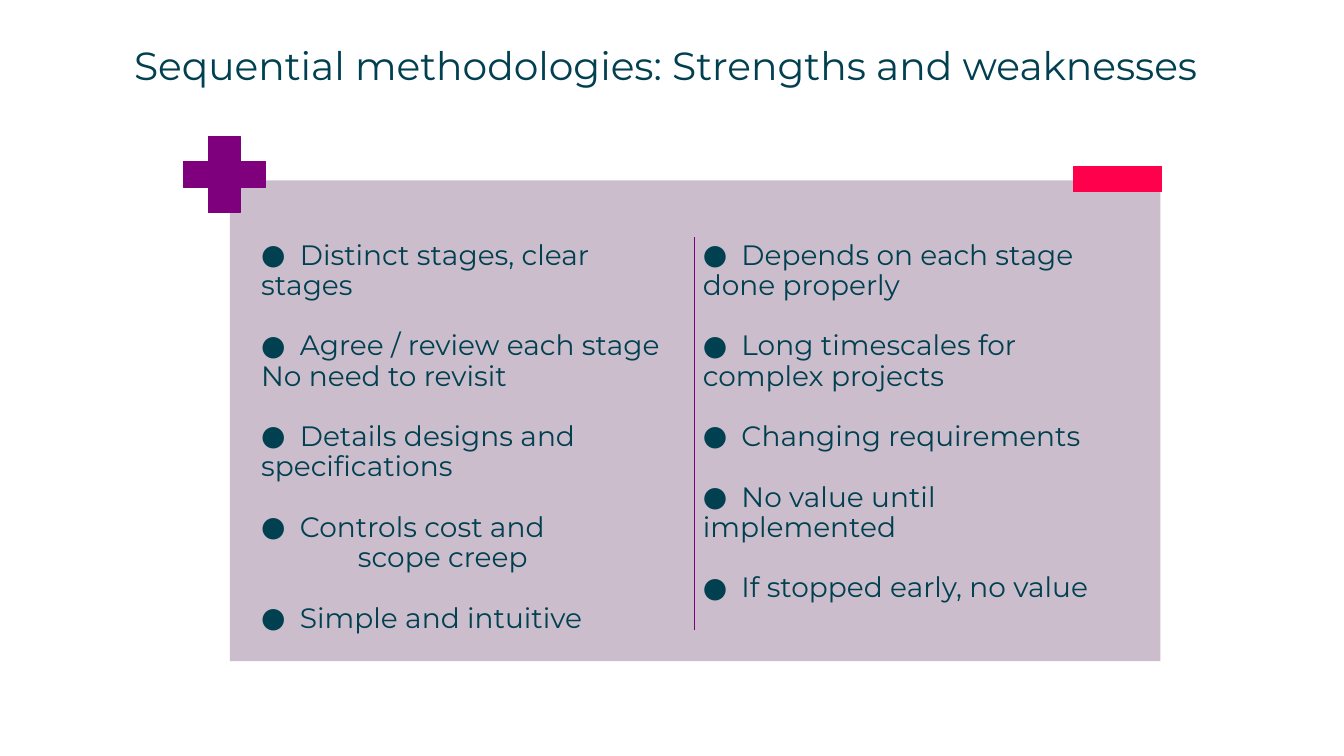
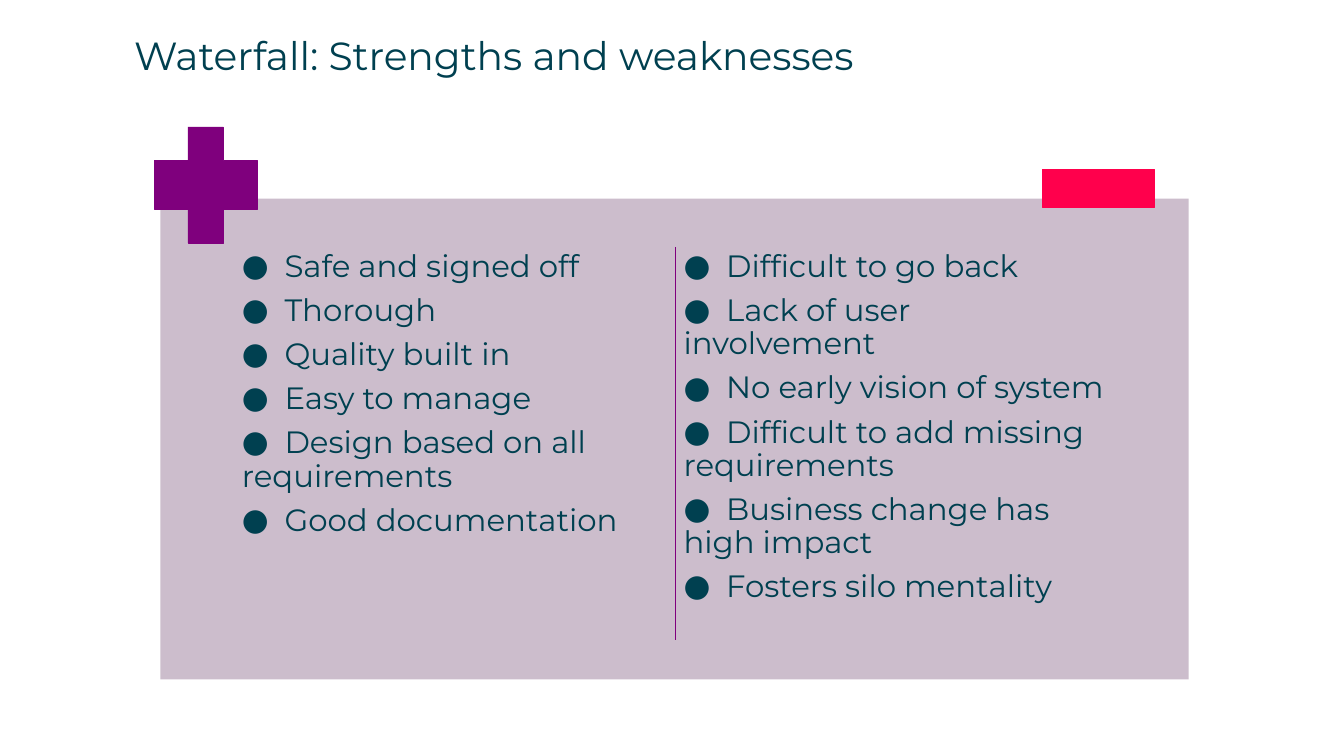
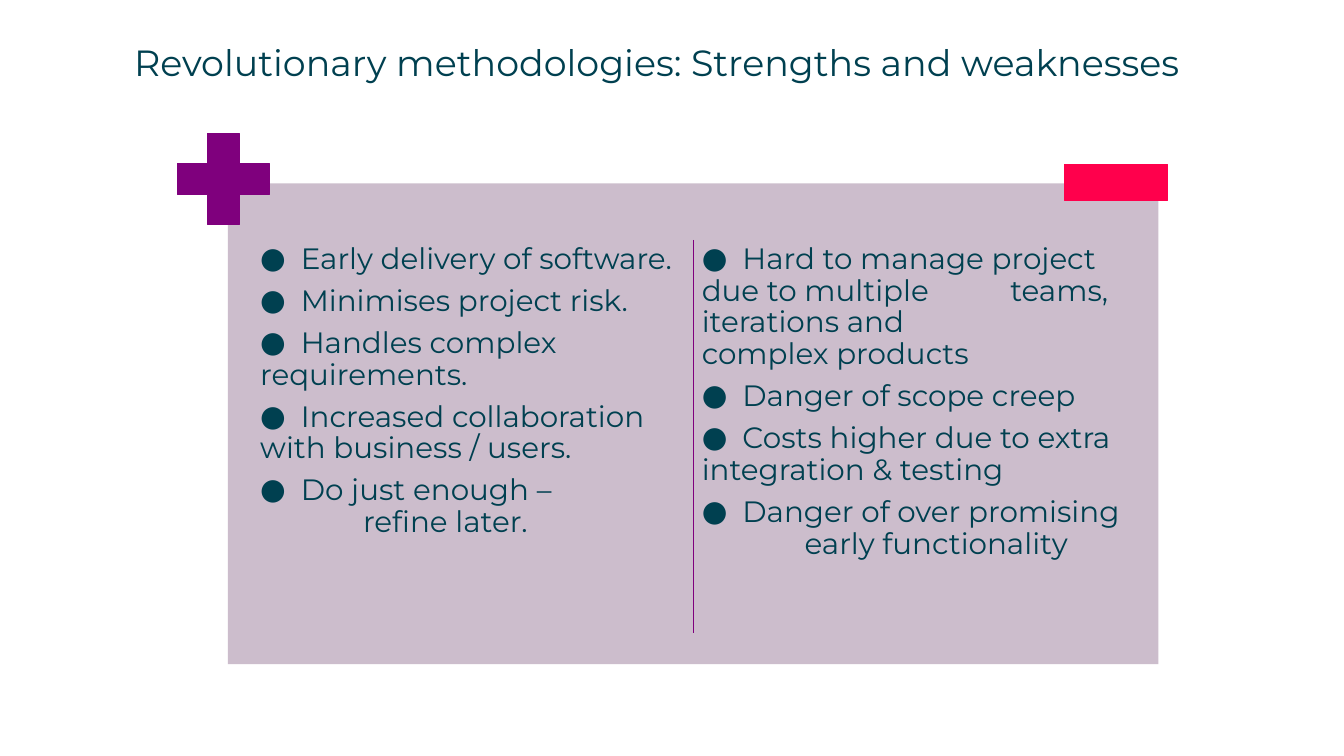
from dataclasses import dataclass

import pptx
import pptx.dml.color
import pptx.enum.shapes
import pptx.enum.text
import pptx.oxml.ns
import pptx.util
from lxml import etree

Inches = pptx.util.Inches
Pt = pptx.util.Pt
MSO_SHAPE = pptx.enum.shapes.MSO_SHAPE
rgb = pptx.dml.color.RGBColor.from_string


# Shared look
@dataclass(frozen=True)
class Theme:
    font: str = "Montserrat"
    text: str = "004050"
    panel: str = "CCBDCC"
    plus: str = "7F007D"
    minus: str = "FF004C"
    line_spacing: float = 0.9
    text_lead: float = 0.0192  # inches from bullet to text, per point of type
    plus_arm: float = 0.328
    column_width: float = 4.29
    column_height: float = 4.08
    column_pitch: float = 4.38
    divider_offset: float = 4.34
    divider_height: float = 3.9
    inset: float = 0.04


THEME = Theme()


# One strengths-and-weaknesses slide; boxes are left, top, width, height
@dataclass(frozen=True)
class Board:
    title: str
    title_top: float
    title_size: int
    panel: tuple
    plus: tuple
    minus: tuple
    column_left: float
    column_top: float
    text_size: int
    item_gap: float  # space after an item, as a share of the type size
    tab: float
    strengths: tuple
    weaknesses: tuple


# A line break is \n; a pair holds an item and its indented second line
BOARDS = (
    Board(
        "Sequential methodologies: Strengths and weaknesses", 0.41, 28,
        panel=(2.28, 1.79, 9.23, 4.77), plus=(1.82, 1.35, 0.81, 0.76),
        minus=(10.65, 1.65, 0.87, 0.25), column_left=2.55, column_top=2.35,
        text_size=20, item_gap=1.08, tab=0.96,
        strengths=(
            "Distinct stages, clear\nstages",
            "Agree / review each stage\nNo need to revisit",
            "Details designs and\nspecifications",
            ("Controls cost and", "scope creep"),
            "Simple and intuitive",
        ),
        weaknesses=(
            "Depends on each stage\ndone properly",
            "Long timescales for\ncomplex projects",
            "Changing requirements",
            "No value until\nimplemented",
            "If stopped early, no value",
        ),
    ),
    Board(
        "Waterfall: Strengths and weaknesses", 0.31, 28,
        panel=(1.59, 1.97, 10.2, 4.77), plus=(1.53, 1.26, 1.02, 1.15),
        minus=(10.34, 1.68, 1.11, 0.38), column_left=2.36, column_top=2.45,
        text_size=22, item_gap=0.35, tab=1,
        strengths=(
            "Safe and signed off",
            "Thorough",
            "Quality built in",
            "Easy to manage",
            "Design based on all\nrequirements",
            "Good documentation",
        ),
        weaknesses=(
            "Difficult to go back",
            "Lack of user\ninvolvement",
            "No early vision of system",
            "Difficult to add missing\nrequirements",
            "Business change has\nhigh impact",
            "Fosters silo mentality",
        ),
    ),
    Board(
        "Revolutionary methodologies: Strengths and weaknesses", 0.4, 26,
        panel=(2.26, 1.82, 9.23, 4.77), plus=(1.76, 1.32, 0.91, 0.91),
        minus=(10.56, 1.63, 1.02, 0.36), column_left=2.54, column_top=2.38,
        text_size=21, item_gap=0.35, tab=1.02,
        strengths=(
            "Early delivery of software.",
            "Minimises project risk.",
            "Handles complex\nrequirements.",
            "Increased collaboration\nwith business / users.",
            ("Do just enough –", "refine later."),
        ),
        weaknesses=(
            "Hard to manage project\ndue to multiple\tteams,\n"
            "iterations and\ncomplex products",
            "Danger of scope creep",
            "Costs higher due to extra\nintegration & testing",
            ("Danger of over promising", "early functionality"),
        ),
    ),
)


# Text helpers
def place(shape, box):
    shape.left, shape.top, shape.width, shape.height = map(Inches, box)


def prepare_frame(frame, inset):
    frame.word_wrap = True
    frame.auto_size = pptx.enum.text.MSO_AUTO_SIZE.NONE
    frame.vertical_anchor = pptx.enum.text.MSO_ANCHOR.TOP
    frame.margin_left = frame.margin_right = Inches(inset)
    frame.margin_top = frame.margin_bottom = Inches(inset)


def add_lines(paragraph, text, size):
    for number, line in enumerate(text.split("\n")):
        if number:
            paragraph.add_line_break()
        run = paragraph.add_run()
        run.text = line
        run.font.name = THEME.font
        run.font.size = Pt(size)
        run.font.color.rgb = rgb(THEME.text)


def add_child(parent, tag, **attributes):
    child = etree.SubElement(parent, pptx.oxml.ns.qn(tag))
    for name, value in attributes.items():
        child.set(name, str(value))
    return child


def set_bullet(paragraph, stops):
    """Bullet at the left edge, text at the first stop, later lines at the edge."""
    properties = paragraph._p.get_or_add_pPr()
    properties.set("marL", "0")
    properties.set("indent", "0")
    add_child(properties, "a:buFont", typeface=THEME.font)
    add_child(properties, "a:buChar", char="●")
    tabs = add_child(properties, "a:tabLst")
    for stop in stops:
        add_child(tabs, "a:tab", pos=Inches(stop), algn="l")


def set_indent(paragraph, indent):
    properties = paragraph._p.get_or_add_pPr()
    properties.set("marL", str(Inches(indent)))
    properties.set("indent", "0")
    add_child(properties, "a:buNone")


def set_spacing(paragraph, after):
    paragraph.line_spacing = THEME.line_spacing
    paragraph.space_before = Pt(0)
    paragraph.space_after = Pt(after)


# Slide parts
def fill_title(title, board):
    place(title, (1.33, board.title_top, 11.59, 0.57))
    prepare_frame(title.text_frame, 0)
    paragraph = title.text_frame.paragraphs[0]
    paragraph.alignment = pptx.enum.text.PP_ALIGN.LEFT
    add_lines(paragraph, board.title, board.title_size)


def fill_column(column, left, items, board):
    place(column, (left, board.column_top, THEME.column_width, THEME.column_height))
    frame = column.text_frame
    prepare_frame(frame, THEME.inset)
    size = board.text_size
    gap = round(size * board.item_gap, 1)
    stops = (size * THEME.text_lead, 3 * board.tab)
    for number, item in enumerate(items):
        text, continuation = (item, None) if isinstance(item, str) else item
        paragraph = frame.add_paragraph() if number else frame.paragraphs[0]
        set_bullet(paragraph, stops)
        set_spacing(paragraph, 0 if continuation else gap)
        add_lines(paragraph, "\t" + text, size)
        if continuation:
            paragraph = frame.add_paragraph()
            set_indent(paragraph, board.tab)
            set_spacing(paragraph, gap)
            add_lines(paragraph, continuation, size)


def add_block(slide, kind, box, color, outlined=True):
    block = slide.shapes.add_shape(kind, *map(Inches, box))
    block.shadow.inherit = False
    block.fill.solid()
    block.fill.fore_color.rgb = rgb(color)
    if outlined:
        block.line.color.rgb = rgb(color)
        block.line.width = Pt(0.5)
    else:
        block.line.fill.background()
    return block


def add_divider(slide, x, top):
    divider = slide.shapes.add_connector(
        pptx.enum.shapes.MSO_CONNECTOR.STRAIGHT,
        Inches(x), Inches(top), Inches(x), Inches(top + THEME.divider_height))
    divider.line.color.rgb = rgb(THEME.plus)
    divider.line.width = Pt(1)
    add_child(divider.element.spPr, "a:effectLst")


def add_board(deck, board):
    slide = deck.slides.add_slide(deck.slide_layouts.get_by_name("Two Content"))
    title, strengths, weaknesses = slide.placeholders
    fill_title(title, board)
    # The panel goes behind the text placeholders
    panel = add_block(slide, MSO_SHAPE.RECTANGLE, board.panel, THEME.panel, outlined=False)
    title.element.addprevious(panel.element)
    left = board.column_left
    fill_column(strengths, left, board.strengths, board)
    fill_column(weaknesses, left + THEME.column_pitch, board.weaknesses, board)
    plus = add_block(slide, MSO_SHAPE.CROSS, board.plus, THEME.plus)
    plus.adjustments[0] = THEME.plus_arm
    add_block(slide, MSO_SHAPE.RECTANGLE, board.minus, THEME.minus)
    add_divider(slide, left + THEME.divider_offset, board.column_top)


def main():
    deck = pptx.Presentation()
    deck.slide_width, deck.slide_height = Inches(13.33), Inches(7.5)
    for board in BOARDS:
        add_board(deck, board)
    deck.save("out.pptx")


if __name__ == "__main__":
    main()
